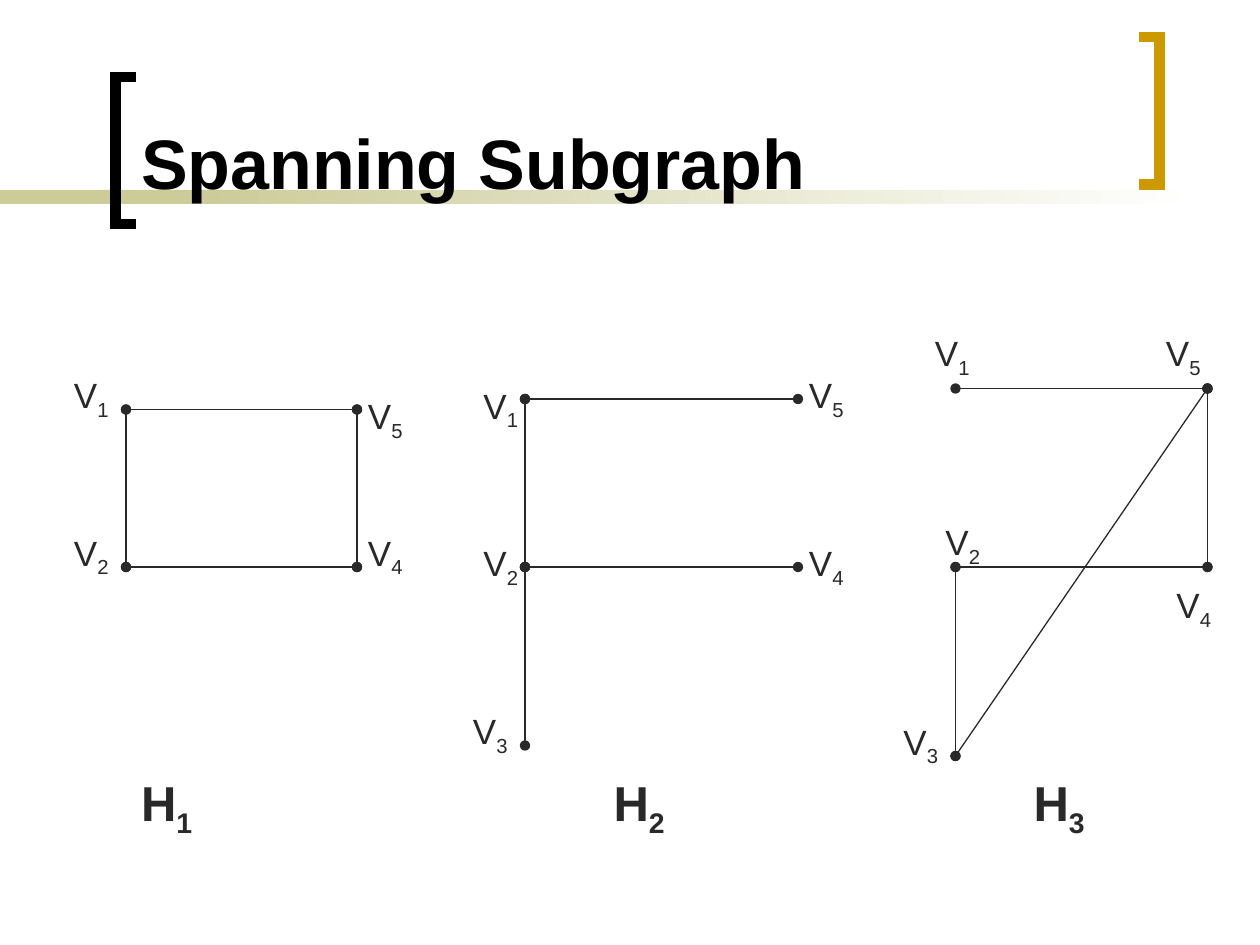
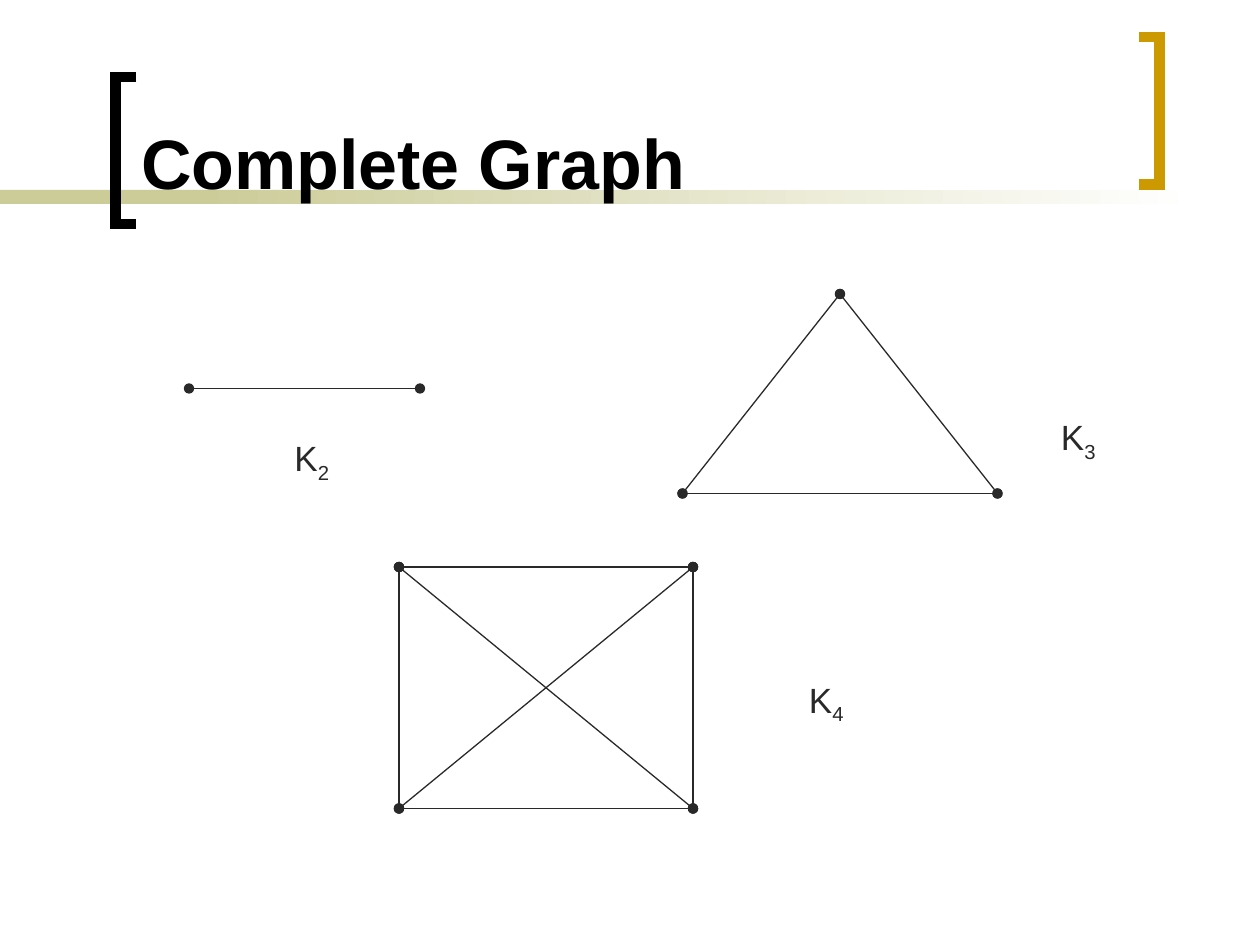
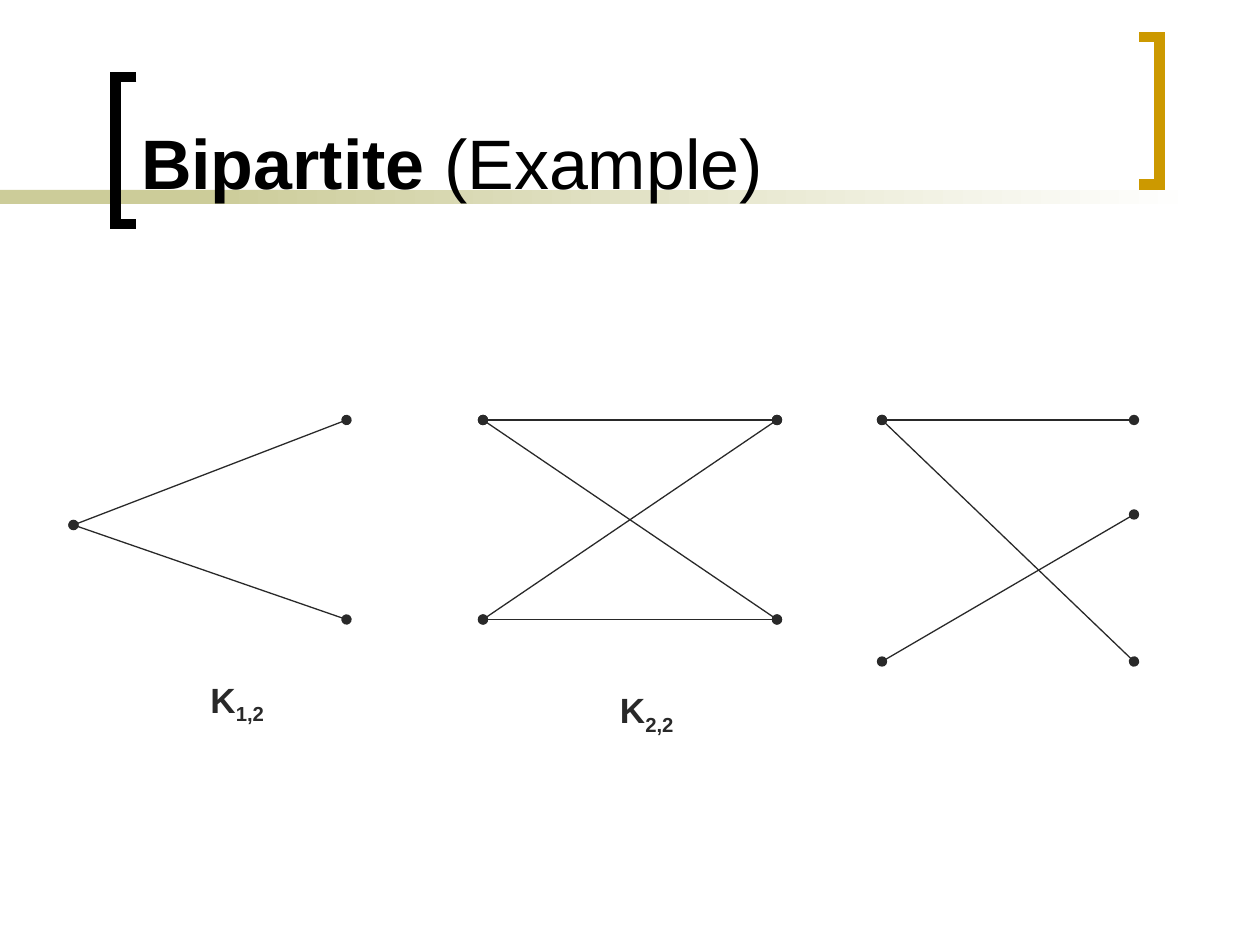
from dataclasses import dataclass
from itertools import combinations, pairwise, product

from lxml import etree
from pptx import Presentation
from pptx.dml.color import RGBColor
from pptx.enum.shapes import MSO_CONNECTOR, MSO_SHAPE
from pptx.enum.text import MSO_ANCHOR, MSO_AUTO_SIZE, PP_ALIGN
from pptx.oxml.ns import qn
from pptx.slide import Slide
from pptx.util import Cm, Length, Pt

STRAIGHT = MSO_CONNECTOR.STRAIGHT
RECTANGLE = MSO_SHAPE.RECTANGLE
BOTTOM = MSO_ANCHOR.BOTTOM
NO_AUTOFIT = MSO_AUTO_SIZE.NONE
LEFT = PP_ALIGN.LEFT

BLACK = RGBColor(0x00, 0x00, 0x00)
WHITE = RGBColor(0xFF, 0xFF, 0xFF)
KHAKI = RGBColor(0xCC, 0xCC, 0x99)
GOLD = RGBColor(0xCC, 0x99, 0x00)
INK = RGBColor(0x29, 0x29, 0x29)

FONT = "Arial"
SLIDE_WIDTH, SLIDE_HEIGHT = Cm(25.4), Cm(19.05)
GRID = SLIDE_WIDTH // 120  # graphs and labels sit on a grid 120 units wide
BAND_TOP, BAND_HEIGHT = Cm(3.83), Cm(0.28)
HANGING_MARGIN, HANGING_INDENT = Cm(2.46), Cm(-1.22)
TITLE_ONLY = 5

Point = tuple[float, float]
Edge = tuple[Point, Point]


@dataclass(frozen=True)
class Bracket:
    open_x: Length
    spine_x: Length
    top: Length
    color: RGBColor
    height: Length = Cm(2.97)


@dataclass(frozen=True)
class Label:
    """A letter with a subscript; position and size are in grid units."""
    letter: str
    subscript: str
    left: float
    top: float
    width: float = 12
    height: float = 5.8
    size: int = 20
    bold: bool = False


@dataclass(frozen=True)
class GraphSlide:
    title: str
    edges: list[Edge]
    labels: list[Label]
    title_note: str = ""


BRACKETS = [
    Bracket(Cm(2.75), Cm(2.33), Cm(1.55), BLACK),
    Bracket(Cm(22.97), Cm(23.38), Cm(0.75), GOLD),
]


def named_edges(vertices: dict[int, Point], pairs: str) -> list[Edge]:
    """Turn pairs such as "15 12" into edges between numbered vertices."""
    return [(vertices[int(start)], vertices[int(end)]) for start, end in pairs.split()]


def vertex_labels(corners: dict[int, Point]) -> list[Label]:
    return [Label("V", str(number), *corner) for number, corner in corners.items()]


def subgraph_name(number: int, left: float) -> Label:
    return Label("H", str(number), left, 73, width=24.7, height=7.5, size=28, bold=True)


SPANNING = GraphSlide(
    "Spanning Subgraph",
    edges=[
        *named_edges({1: (12, 39), 5: (34, 39), 2: (12, 54), 4: (34, 54)}, "15 12 24 45"),
        *named_edges({1: (50, 38), 5: (76, 38), 2: (50, 54), 4: (76, 54), 3: (50, 71)},
                     "15 12 24 23"),
        *named_edges({1: (91, 37), 5: (115, 37), 2: (91, 54), 4: (115, 54), 3: (91, 72)},
                     "15 54 42 53 23"),
    ],
    labels=[
        *vertex_labels({1: (0, 35), 2: (0, 50), 5: (28, 37), 4: (28, 50)}),
        *vertex_labels({1: (39, 36), 2: (39, 51), 3: (38, 67), 5: (70, 35), 4: (70, 51)}),
        *vertex_labels({1: (82, 31), 2: (83, 49), 3: (79, 68), 4: (105, 55), 5: (104, 31)}),
        subgraph_name(1, 6.4),
        subgraph_name(2, 51.4),
        subgraph_name(3, 91.4),
    ],
)

COMPLETE = GraphSlide(
    "Complete Graph",
    edges=[
        *combinations([(18, 37), (40, 37)], 2),
        *combinations([(80, 28), (65, 47), (95, 47)], 2),
        *combinations(list(product((38, 66), (54, 77))), 2),
    ],
    labels=[Label("K", "2", 21, 41), Label("K", "3", 94, 39), Label("K", "4", 70, 64)],
)

BIPARTITE = GraphSlide(
    "Bipartite",
    title_note=" (Example)",
    edges=[
        *product([(7, 50)], [(33, 40), (33, 59)]),
        *product([(46, 40), (46, 59)], [(74, 40), (74, 59)]),
        *product([(84, 40)], [(108, 40), (108, 63)]),
        ((84, 63), (108, 49)),
    ],
    labels=[
        Label("K", "1,2", 13, 64, width=15, bold=True),
        Label("K", "2,2", 52, 65, width=15, bold=True),
    ],
)


def on_grid(*units: float) -> list[Length]:
    return [Length(round(unit * GRID)) for unit in units]


def add_band(slide: Slide, left: Length, width: Length, fades: bool) -> None:
    band = slide.shapes.add_shape(RECTANGLE, left, BAND_TOP, width, BAND_HEIGHT)
    band.shadow.inherit = False
    band.line.fill.background()
    if fades:
        band.fill.gradient()
        band.fill.gradient_angle = 180
        for stop, color in zip(band.fill.gradient_stops, (WHITE, KHAKI)):
            stop.color.rgb = color
    else:
        band.fill.solid()
        band.fill.fore_color.rgb = KHAKI


def add_bracket(slide: Slide, bracket: Bracket) -> None:
    bottom = bracket.top + bracket.height
    builder = slide.shapes.build_freeform(bracket.open_x, bracket.top)
    builder.add_line_segments(
        [(bracket.spine_x, bracket.top), (bracket.spine_x, bottom), (bracket.open_x, bottom)],
        close=False,
    )
    shape = builder.convert_to_shape()
    shape.shadow.inherit = False
    shape.fill.background()
    shape.line.color.rgb = bracket.color
    shape.line.width = Pt(6)
    outline = shape.element.spPr.find(qn("a:ln"))
    etree.SubElement(outline, qn("a:miter"), lim="800000")


def add_title(slide: Slide, text: str, note: str) -> None:
    title = slide.shapes.title
    title.left, title.top, title.width, title.height = Cm(2.59), Cm(0.28), Cm(19.89), Cm(3.94)
    frame = title.text_frame
    frame.auto_size = NO_AUTOFIT
    frame.vertical_anchor = BOTTOM
    paragraph = frame.paragraphs[0]
    paragraph.alignment = LEFT
    paragraph.font.name = FONT
    paragraph.font.size = Pt(40)
    paragraph.font.color.rgb = BLACK
    for words, bold in ((text, True), (note, False)):
        if words:
            run = paragraph.add_run()
            run.text = words
            run.font.bold = bold
    slide.shapes.element.append(title.element)  # in front of the band


def add_edge(slide: Slide, edge: Edge) -> None:
    """Draw a line with a dot for the vertex at each end."""
    start, end = edge
    connector = slide.shapes.add_connector(STRAIGHT, *on_grid(*start, *end))
    connector.line.color.rgb = INK
    connector.line.width = Pt(0.75)
    properties = connector.element.spPr
    outline = properties.find(qn("a:ln"))
    for tag in ("a:headEnd", "a:tailEnd"):
        etree.SubElement(outline, qn(tag), type="oval")
    etree.SubElement(properties, qn("a:effectLst"))


def add_label(slide: Slide, label: Label) -> None:
    box = slide.shapes.add_textbox(*on_grid(label.left, label.top, label.width, label.height))
    box.text_frame.word_wrap = True
    paragraph = box.text_frame.paragraphs[0]
    paragraph.font.name = FONT
    paragraph.font.size = Pt(label.size)
    paragraph.font.bold = label.bold
    paragraph.font.color.rgb = INK
    paragraph_properties = paragraph._p.get_or_add_pPr()
    paragraph_properties.set("marL", str(HANGING_MARGIN))
    paragraph_properties.set("indent", str(HANGING_INDENT))
    paragraph.add_run().text = label.letter
    subscript = paragraph.add_run()
    subscript.text = label.subscript
    subscript._r.get_or_add_rPr().set("baseline", "-25000")


def add_graph_slide(presentation: Presentation, content: GraphSlide) -> None:
    slide = presentation.slides.add_slide(presentation.slide_layouts[TITLE_ONLY])
    add_band(slide, Cm(0), Cm(5.93), fades=False)
    add_band(slide, Cm(4.02), Cm(20.12), fades=True)
    for bracket in BRACKETS:
        add_bracket(slide, bracket)
    add_title(slide, content.title, content.title_note)
    for edge in content.edges:
        add_edge(slide, edge)
    for label in content.labels:
        add_label(slide, label)


def main() -> None:
    presentation = Presentation()
    presentation.slide_width, presentation.slide_height = SLIDE_WIDTH, SLIDE_HEIGHT
    for content in (SPANNING, COMPLETE, BIPARTITE):
        add_graph_slide(presentation, content)
    presentation.save("out.pptx")


if __name__ == "__main__":
    main()
